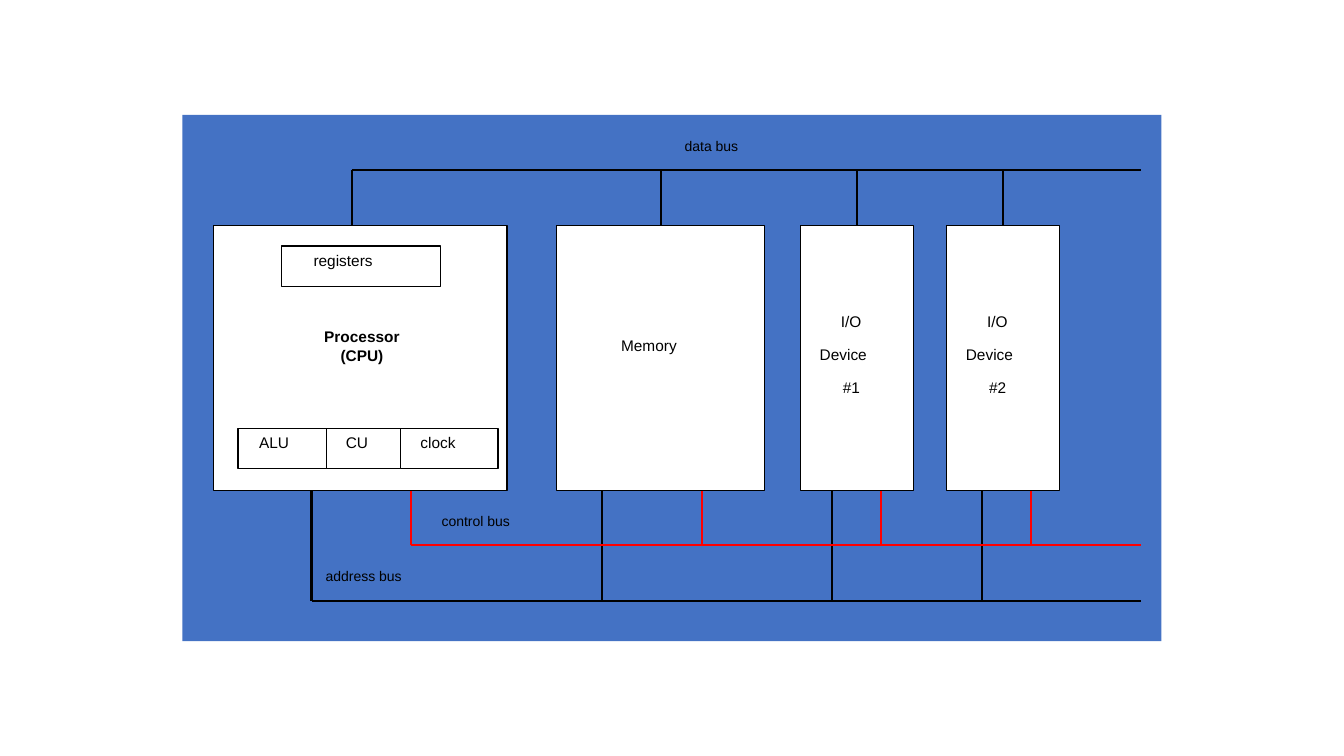
import pptx
import pptx.util
import pptx.dml.color
import pptx.enum.shapes
import pptx.enum.text
import lxml.etree
from dataclasses import dataclass

Inches = pptx.util.Inches
Pt = pptx.util.Pt
RGB = pptx.dml.color.RGBColor.from_string
ALIGN = pptx.enum.text.PP_ALIGN


@dataclass(frozen=True)
class Theme:
    panel: str = "4472C4"
    block: str = "FFFFFF"
    ink: str = "000000"
    control: str = "FF0000"
    font: str = "Arial"
    body: float = 11
    bus_label: float = 10
    outline: float = 0.88
    wire: float = 1.5


T = Theme()


def add_rect(s, x, y, w, h, fill=T.block, line=T.ink):
    sp = s.shapes.add_shape(pptx.enum.shapes.MSO_SHAPE.RECTANGLE,
                            Inches(x), Inches(y), Inches(w), Inches(h))
    sp.shadow.inherit = False
    sp.fill.solid()
    sp.fill.fore_color.rgb = RGB(fill)
    if line:
        sp.line.color.rgb = RGB(line)
        sp.line.width = Pt(T.outline)
    else:
        sp.line.fill.background()


def add_text(s, x, y, w, h, lines, size=T.body, bold=False, align=ALIGN.LEFT):
    tf = s.shapes.add_textbox(Inches(x), Inches(y), Inches(w), Inches(h)).text_frame
    tf.word_wrap = True
    tf.margin_left = tf.margin_right = tf.margin_top = tf.margin_bottom = 0
    for i, line in enumerate(lines):
        p = tf.add_paragraph() if i else tf.paragraphs[0]
        p.alignment = align
        r = p.add_run()
        r.text = line
        r.font.name = T.font
        r.font.size = Pt(size)
        r.font.bold = bold
        r.font.color.rgb = RGB(T.ink)


def add_wire(s, x1, y1, x2, y2, color):
    c = s.shapes.add_connector(pptx.enum.shapes.MSO_CONNECTOR.STRAIGHT,
                               Inches(x1), Inches(y1), Inches(x2), Inches(y2))
    c.line.color.rgb = RGB(color)
    c.line.width = Pt(T.wire)
    sppr = c._element.spPr
    lxml.etree.SubElement(sppr, pptx.oxml.ns.qn("a:effectLst"))


def draw_processor(s, x, y, w, h):
    add_rect(s, x, y, w, h)
    add_text(s, x + 0.88, y + 1.01, 1.18, 0.64, ["Processor", "(CPU)"],
             bold=True, align=ALIGN.CENTER)
    units = [("registers", 0.67, 0.2, 1.58, 0.32),
             ("ALU", 0.24, 2.01, 0.88, 0.21),
             ("CU", 1.12, 2.01, 0.73, 0.19),
             ("clock", 1.85, 2.01, 0.97, 0.2)]
    for name, dx, dy, width, indent in units:
        add_rect(s, x + dx, y + dy, width, 0.4)
        add_text(s, x + dx + indent, y + dy + 0.05, width - indent, 0.32, [name])


def draw_memory(s, x, y, w, h):
    add_rect(s, x, y, w, h)
    add_text(s, x + 0.64, y + 1.09, 0.87, 0.32, ["Memory"])


def draw_device(s, x, y, w, h, number):
    add_rect(s, x, y, w, h)
    for i, (line, indent) in enumerate([("I/O", 0.4), ("Device", 0.19), (number, 0.42)]):
        add_text(s, x + indent, y + 0.86 + i * 0.325, w - indent, 0.32, [line])


def draw_bus(s, y, block_edge, right, taps, color, label, label_x):
    for tap in taps:
        add_wire(s, tap, block_edge, tap, y, color)
    add_wire(s, taps[0], y, right, y, color)
    add_text(s, label_x, y - 0.33, 1.18, 0.29, [label], size=T.bus_label)


def draw_computer(s, x, y, w, h):
    add_rect(s, x, y, w, h, fill=T.panel, line=None)
    top, height = y + 1.1, 2.63
    bottom, right = top + height, x + w - 0.2
    draw_processor(s, x + 0.31, top, 2.91, height)
    draw_memory(s, x + 3.71, top, 2.06, height)
    for dx, number in [(6.13, "#1"), (7.58, "#2")]:
        draw_device(s, x + dx, top, 1.12, height, number)
    buses = [("address bus", 4.82, bottom, T.ink, 1.42, [1.28, 4.16, 6.44, 7.93]),
             ("data bus", 0.55, top, T.ink, 4.98, [1.68, 4.75, 6.69, 8.14]),
             ("control bus", 4.27, bottom, T.control, 2.57, [2.27, 5.15, 6.93, 8.42])]
    for label, dy, edge, color, label_dx, taps in buses:
        draw_bus(s, y + dy, edge, right, [x + t for t in taps], color, label, x + label_dx)


prs = pptx.Presentation()
prs.slide_width = Inches(13.33)
prs.slide_height = Inches(7.5)
s = prs.slides.add_slide(prs.slide_layouts[6])
draw_computer(s, 1.81, 1.14, 9.71, 5.22)
prs.save("out.pptx")
